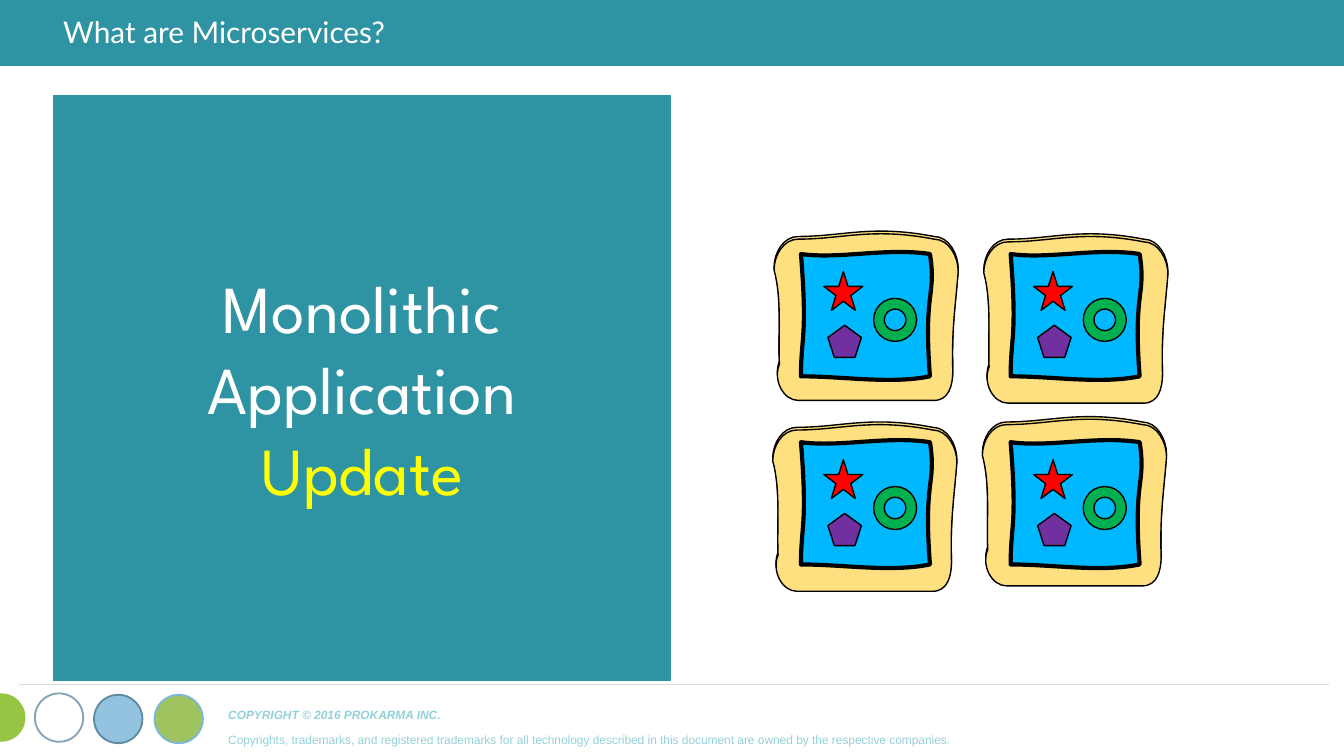
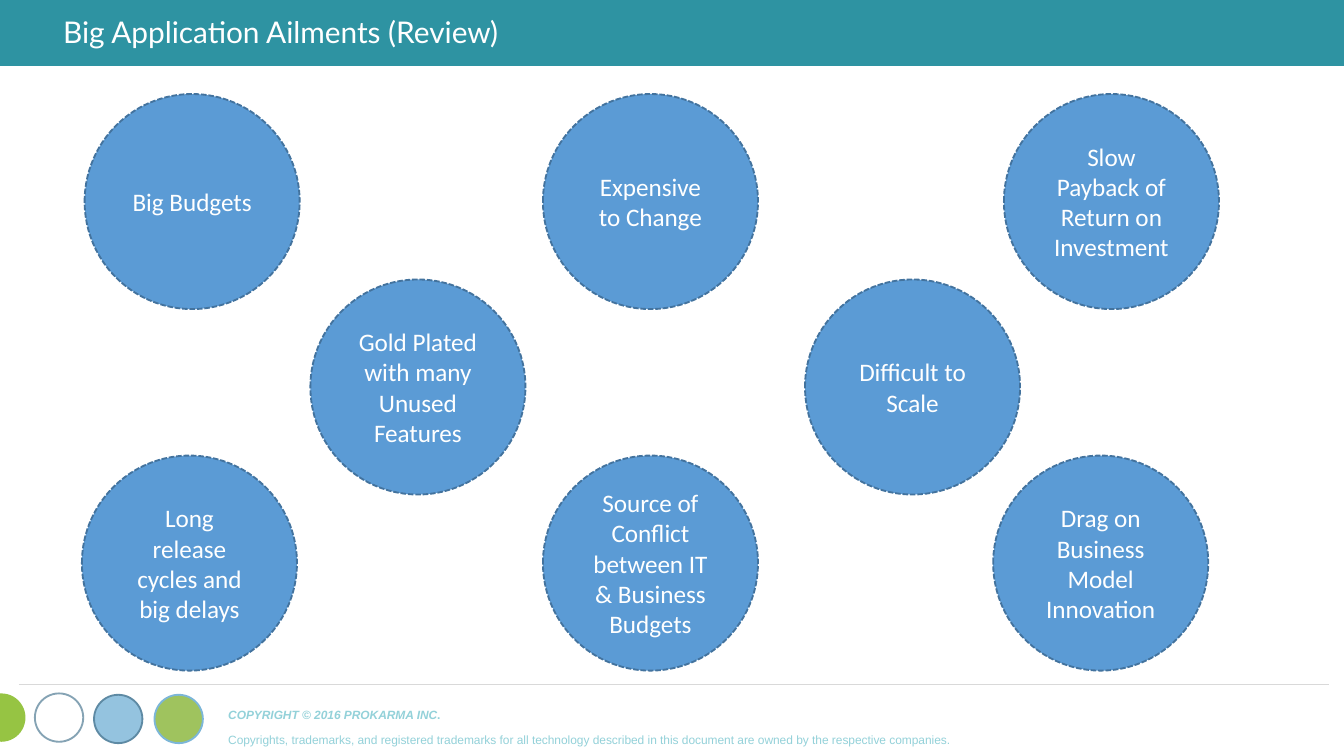
from lxml import etree
from pptx import Presentation
from pptx.dml.color import RGBColor
from pptx.enum.dml import MSO_LINE
from pptx.enum.shapes import MSO_CONNECTOR, MSO_SHAPE
from pptx.enum.text import MSO_ANCHOR, MSO_AUTO_SIZE, PP_ALIGN
from pptx.oxml.ns import qn
from pptx.util import Inches, Pt

RECT, OVAL = MSO_SHAPE.RECTANGLE, MSO_SHAPE.OVAL
STAR, DONUT = MSO_SHAPE.STAR_5_POINT, MSO_SHAPE.DONUT
PENTAGON = MSO_SHAPE.REGULAR_PENTAGON
LEFT, CENTER = PP_ALIGN.LEFT, PP_ALIGN.CENTER
MIDDLE, TOP = MSO_ANCHOR.MIDDLE, MSO_ANCHOR.TOP
DASH = MSO_LINE.SQUARE_DOT

WIDTH = Inches(10)
HEIGHT = WIDTH * 9 // 16
TITLE_ONLY = 5

COLORS = {
    "teal": "2E93A2", "white": "FFFFFF", "black": "000000", "yellow": "FFFF00",
    "rule": "D9D9D9", "footer": "93D1D9",
    "lime": "96C443", "leaf": "8CB73E", "sky": "7CB6D8",
    "steel": "5E8AA4", "slate": "588199",
    "ailment": "5B9BD5", "ailment edge": "43739E",
    "bread": "FFE080", "filling": "00B8FF",
    "red": "FF0000", "green": "00B050", "purple": "7030A0",
}

# Sandwich outlines: a start point, then cubic curves (two handles and an end)
BREAD = [(-2, 1.4),
         (-2, 0.3), (-1.3, -0.9), (-0.2, -0.9),
         (3.1, -0.9), (5.3, -1.8), (9.9, -0.9),
         (11, -0.9), (11.7, 0.4), (11.7, 1.5),
         (11.5, 4.1), (11.2, 5.8), (11.3, 8.9),
         (11.3, 10), (11, 11.1), (9.9, 11.1),
         (9.9, 11.1), (-0.2, 11.1), (-0.2, 11.1),
         (-1.3, 11.1), (-2.1, 9.6), (-1.6, 8.4),
         (-1.7, 6.1), (-1.4, 3.6), (-2, 1.4)]
FILLING = [(0, 0.2),
           (2.9, 0.6), (6.4, -0.3), (9.6, 0.2),
           (10.1, 3.4), (9.1, 2.8), (9.6, 9.3),
           (6.7, 9.9), (3.2, 9.3), (0, 9.3),
           (0, 6.3), (0.5, 6.4), (0, 0.2)]
TOPPINGS = [(STAR, 1.7, 1.5, 2.9, 2.9, "red"),
            (DONUT, 5.4, 3.5, 3.2, 3.2, "green"),
            (PENTAGON, 2, 5.5, 2.5, 2.4, "purple")]
SANDWICH_LEFT, SANDWICH_TOP = 59.6, 18.7
SANDWICH_PITCH_X, SANDWICH_PITCH_Y = 15.6, 14
LOWER_SLICE_SHIFT = -0.2
# Column, row and the bread's own offset
SANDWICHES = [(0, 0, 0, 0), (1, 0, 0, 0.2), (1, 1, -0.1, -0.2), (0, 1, -0.1, 0.2)]

AILMENT_SIZE = 16
AILMENT_ROWS = [7, 20.8, 33.9]
AILMENTS = [
    (6.3, 0, "Big Budgets"),
    (40.4, 0, "Expensive to Change"),
    (6.1, 2, "Long release cycles and big delays"),
    (23.1, 1, "Gold Plated with many Unused Features"),
    (40.4, 2, "Source of Conflict between IT & Business Budgets"),
    (59.9, 1, "Difficult to Scale"),
    (74.7, 0, "Slow Payback of Return on Investment"),
    (73.9, 2, "Drag on Business Model Innovation"),
]


def grid(*units):
    """Lengths on a square grid of 100 columns across the slide."""
    return [round(WIDTH * unit / 100) for unit in units]


def rgb(name):
    return RGBColor.from_string(COLORS[name])


def set_alpha(fill_format, percent):
    color = fill_format._xPr.find(qn("a:solidFill"))[0]
    etree.SubElement(color, qn("a:alpha"), val=str(percent * 1000))


def paint(shape, fill=None, line=None, weight=0.75, dash=None,
          fill_alpha=None, line_alpha=None):
    shape.shadow.inherit = False
    if fill:
        shape.fill.solid()
        shape.fill.fore_color.rgb = rgb(fill)
        if fill_alpha:
            set_alpha(shape.fill, fill_alpha)
    else:
        shape.fill.background()
    if line:
        shape.line.color.rgb = rgb(line)
        shape.line.width = Pt(weight)
        if dash:
            shape.line.dash_style = dash
        if line_alpha:
            set_alpha(shape.line.fill, line_alpha)
    else:
        shape.line.fill.background()


def add_figure(shapes, kind, left, top, width, height, **look):
    shape = shapes.add_shape(kind, *grid(left, top, width, height))
    paint(shape, **look)
    return shape


def style(font, name, size, color):
    font.name, font.size, font.color.rgb = name, Pt(size), rgb(color)


def write_centered(shape, lines, name, size):
    """Fill a shape with (text, colour) paragraphs."""
    frame = shape.text_frame
    frame.word_wrap = True
    frame.vertical_anchor = MIDDLE
    for index, (text, color) in enumerate(lines):
        para = frame.add_paragraph() if index else frame.paragraphs[0]
        para.text = text
        para.alignment = CENTER
        style(para.font, name, size, color)


def add_curve(shapes, outline, left, top, **look):
    """Build the outline through its end points, then bend each side."""
    points = [grid(left + x, top + y) for x, y in outline]
    builder = shapes.build_freeform(*points[0])
    builder.add_line_segments(points[3::3], close=True)
    shape = builder.convert_to_shape()
    sides = list(shape._element.iter(qn("a:lnTo")))
    for index, side in enumerate(sides):
        curve = etree.Element(qn("a:cubicBezTo"))
        for x, y in points[3 * index + 1:3 * index + 4]:
            etree.SubElement(curve, qn("a:pt"),
                             x=str(x - shape.left), y=str(y - shape.top))
        side.getparent().replace(side, curve)
    paint(shape, **look)


def add_sandwich(page, column, row, bread_x, bread_y):
    shapes = page.shapes.add_group_shape().shapes
    left = SANDWICH_LEFT + column * SANDWICH_PITCH_X
    top = SANDWICH_TOP + row * SANDWICH_PITCH_Y
    for shift in (LOWER_SLICE_SHIFT, 0):
        add_curve(shapes, BREAD, left + bread_x, top + bread_y + shift,
                  fill="bread", line="black")
    add_curve(shapes, FILLING, left, top,
              fill="filling", line="black", weight=2.25)
    for kind, x, y, width, height, color in TOPPINGS:
        add_figure(shapes, kind, left + x, top + y, width, height,
                   fill=color, line="black")


def add_footer(page):
    box = page.shapes.add_textbox(*grid(16, 52, 75.4, 3.5))
    box.text_frame.word_wrap = True
    para = box.text_frame.paragraphs[0]
    spans = [("COPYRIGHT © 2016 PROKARMA INC", True, True),
             (".", True, False),
             ("Copyrights, trademarks, and registered trademarks for all technology "
              "described in this document are owned by the respective companies.",
              False, False)]
    for text, bold, italic in spans:
        if not bold:
            para.add_line_break()
        span = para.add_run()
        span.text = text
        style(span.font, "Arial", 11, "footer")
        span.font.bold, span.font.italic = bold, italic
        span.font._element.set("baseline", "30000")

    # Decorative circles
    circles = [
        (-1.7, 51.6, dict(fill="lime")),
        (2.6, 51.6, dict(line="slate", line_alpha=72)),
        (11.5, 51.7, dict(fill="leaf", fill_alpha=83, line="sky")),
        (7, 51.7, dict(fill="sky", fill_alpha=81, line="steel")),
    ]
    for left, top, look in circles:
        add_figure(page.shapes, OVAL, left, top, 3.6, 3.6, weight=1, **look)

    rule = page.shapes.add_connector(MSO_CONNECTOR.STRAIGHT,
                                     *grid(1.4, 50.9, 98.9, 50.9))
    rule.line.color.rgb = rgb("rule")
    rule.line.width = Pt(0.5)
    etree.SubElement(rule._element.spPr, qn("a:effectLst"))


def add_page(deck, heading):
    """Start a slide with its band, footer and title."""
    page = deck.slides.add_slide(deck.slide_layouts[TITLE_ONLY])
    add_figure(page.shapes, RECT, -0.2, 0, 100.7, 4.9, fill="teal")
    add_footer(page)
    title = page.shapes.title
    title.left, title.top, title.width, title.height = grid(3.7, 0.8, 86.2, 3.5)
    frame = title.text_frame
    frame.text = heading
    frame.auto_size = MSO_AUTO_SIZE.NONE
    frame.vertical_anchor = TOP
    para = frame.paragraphs[0]
    para.alignment = LEFT
    para.line_spacing = 0.9
    style(para.font, "Lato", 16, "white")
    page.shapes._spTree.append(title._element)  # above the band
    return page


def build_update(deck):
    page = add_page(deck, "What are Microservices?")
    panel = add_figure(page.shapes, RECT, 3.9, 7, 46.1, 43.7,
                       fill="teal", line="white")
    write_centered(panel, [("Monolithic\vApplication", "white"),
                           ("Update", "yellow")], "League Spartan", 36)
    for sandwich in SANDWICHES:
        add_sandwich(page, *sandwich)


def build_ailments(deck):
    page = add_page(deck, "Big Application Ailments (Review)")
    for left, row, text in AILMENTS:
        circle = add_figure(page.shapes, OVAL, left, AILMENT_ROWS[row],
                            AILMENT_SIZE, AILMENT_SIZE, fill="ailment",
                            line="ailment edge", weight=1, dash=DASH)
        write_centered(circle, [(text, "white")], "Calibri", 13.5)


def main():
    deck = Presentation()
    deck.slide_width, deck.slide_height = WIDTH, HEIGHT
    build_update(deck)
    build_ailments(deck)
    deck.save("out.pptx")


if __name__ == "__main__":
    main()
